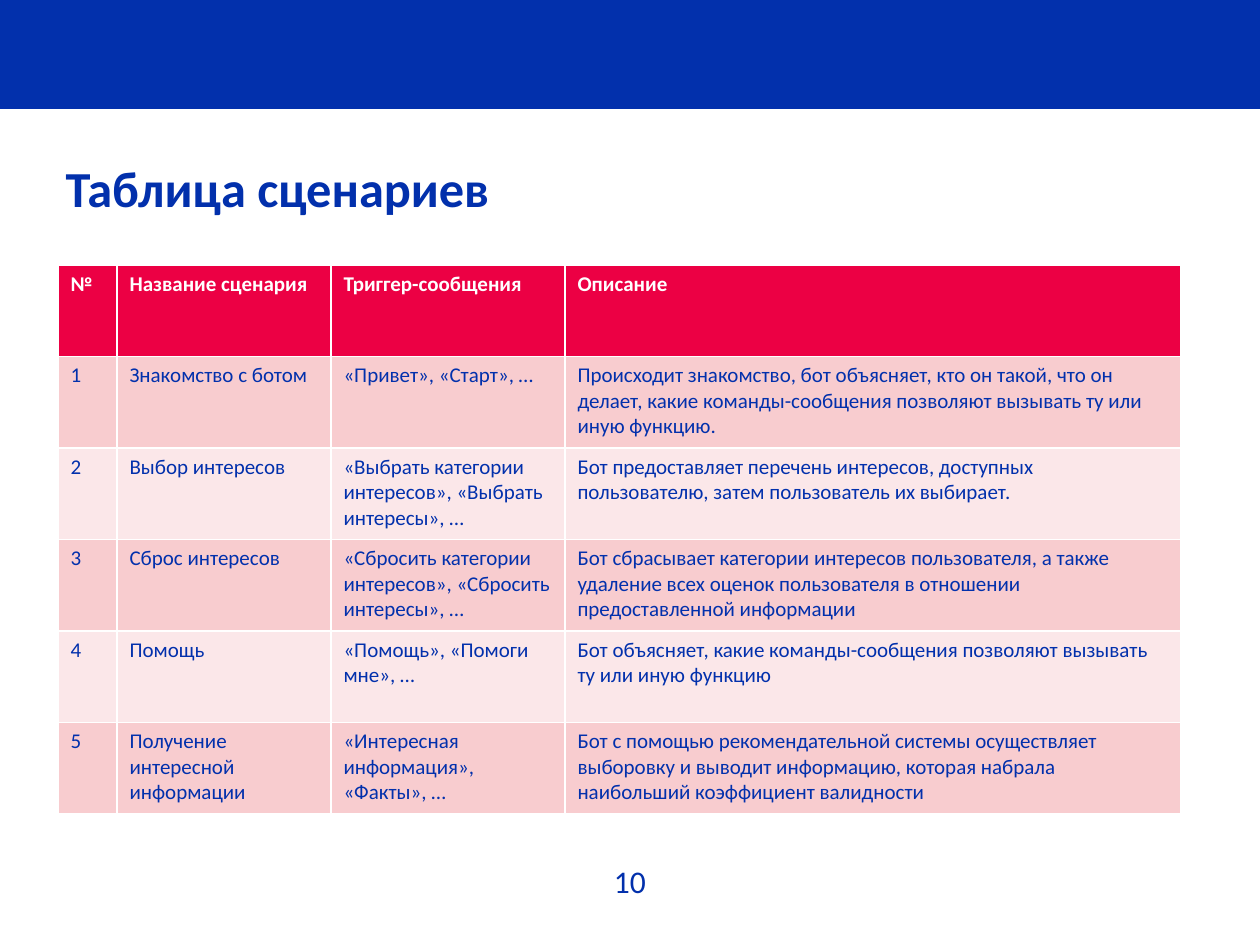
from pptx import Presentation
from pptx.dml.color import RGBColor
from pptx.enum.shapes import MSO_SHAPE as SHAPE
from pptx.enum.text import MSO_ANCHOR as ANCHOR, PP_ALIGN as ALIGN
from pptx.util import Emu, Pt

BLUE, RED, WHITE = "0230AC", "EC0044", "FFFFFF"
BANDS = ["F8CCCF", "FBE7E9"]
TITLE = "Таблица сценариев"
PAGE = "10"
HEAD = ["№", "Название сценария", "Триггер-сообщения", "Описание"]
SCENARIOS = [
    ("Знакомство с ботом", "«Привет», «Старт», …",
     "Происходит знакомство, бот объясняет, кто он такой, что он делает, "
     "какие команды-сообщения позволяют вызывать ту или иную функцию."),
    ("Выбор интересов", "«Выбрать категории интересов», «Выбрать интересы», …",
     "Бот предоставляет перечень интересов, доступных пользователю, "
     "затем пользователь их выбирает."),
    ("Сброс интересов", "«Сбросить категории интересов», «Сбросить интересы», …",
     "Бот сбрасывает категории интересов пользователя, а также удаление "
     "всех оценок пользователя в отношении предоставленной информации"),
    ("Помощь", "«Помощь», «Помоги мне», …",
     "Бот объясняет, какие команды-сообщения позволяют вызывать "
     "ту или иную функцию"),
    ("Получение интересной информации", "«Интересная информация», «Факты», …",
     "Бот с помощью рекомендательной системы осуществляет выборовку "
     "и выводит информацию, которая набрала наибольший коэффициент валидности"),
]
COLS = [59, 214, 234, 616]
ROW_H = 91.5
SLIDE_W, SLIDE_H = 1260, 945


def px(n):
    return Emu(round(n * 914400 / 126))


def rgb(value):
    return RGBColor.from_string(value)


def paint(sp, color):
    sp.fill.solid()
    sp.fill.fore_color.rgb = rgb(color)


def write(tf, text, size, color=BLUE, bold=False, align=ALIGN.LEFT):
    p = tf.paragraphs[0]
    p.alignment = align
    r = p.add_run()
    r.text = text
    for name, value in {"name": "Calibri", "size": Pt(size), "bold": bold}.items():
        setattr(r.font, name, value)
    r.font.color.rgb = rgb(color)


def add_banner(slide):
    sp = slide.shapes.add_shape(SHAPE.RECTANGLE, 0, 0, px(SLIDE_W), px(109))
    sp.shadow.inherit = False
    paint(sp, BLUE)
    sp.line.fill.background()


def add_scenarios(slide):
    rows = [HEAD] + [(str(n), *row) for n, row in enumerate(SCENARIOS, 1)]
    table = slide.shapes.add_table(
        len(rows), len(COLS), px(58), px(265), px(sum(COLS)), px(ROW_H * len(rows))
    ).table
    for col, width in zip(table.columns, COLS):
        col.width = px(width)
    for i, row in enumerate(rows):
        table.rows[i].height = px(ROW_H)
        for j, text in enumerate(row):
            cell = table.cell(i, j)
            paint(cell, BANDS[(i - 1) % 2] if i else RED)
            write(cell.text_frame, text, 12, BLUE if i else WHITE, bold=i == 0)


def add_title(slide):
    sp = slide.shapes.title
    box = {"left": 53, "top": 131, "width": 1134, "height": 113}
    for name, value in box.items():
        setattr(sp, name, px(value))
    sp.text_frame.vertical_anchor = ANCHOR.MIDDLE
    write(sp.text_frame, TITLE, 28.8, bold=True)


def add_page_number(slide):
    tf = slide.shapes.add_textbox(0, px(856), px(SLIDE_W), px(50)).text_frame
    tf.word_wrap = True
    write(tf, PAGE, 18, align=ALIGN.CENTER)


def main():
    prs = Presentation()
    prs.slide_width, prs.slide_height = px(SLIDE_W), px(SLIDE_H)
    slide = prs.slides.add_slide(prs.slide_layouts[5])
    add_banner(slide)
    add_scenarios(slide)
    add_title(slide)
    add_page_number(slide)
    prs.save("out.pptx")


if __name__ == "__main__":
    main()
